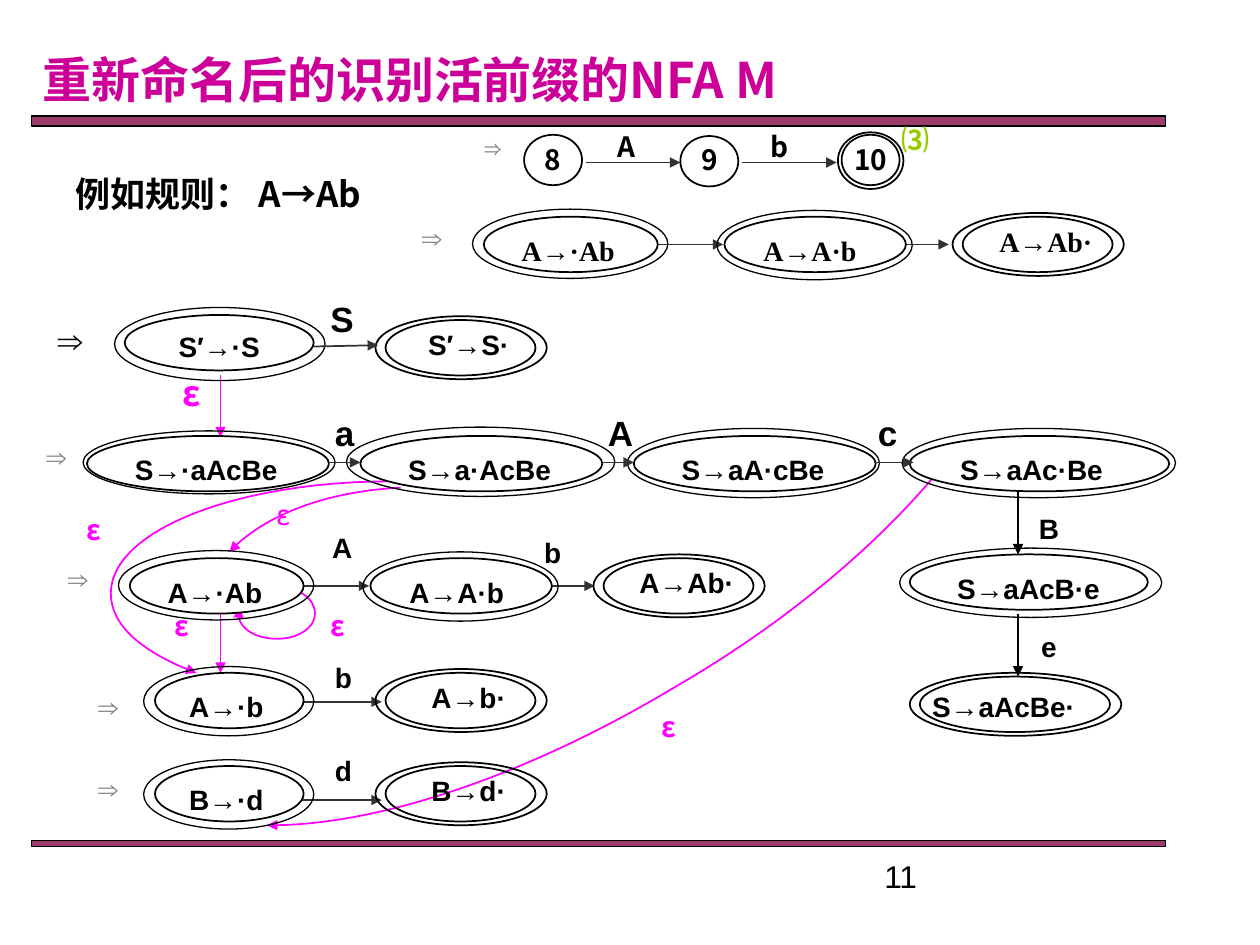
import pptx
import pptx.util
import pptx.dml.color
import pptx.enum.shapes
import pptx.enum.text
import pptx.oxml
import pptx.oxml.ns

CJK, SANS, SERIF = "Noto Sans CJK SC", "Arial", "Times New Roman"
BLACK, WHITE, GREY, DARK, PINK = "000000", "FFFFFF", "808080", "333333", "FF00FF"
SHAPE = pptx.enum.shapes.MSO_SHAPE
ALIGN = pptx.enum.text.PP_ALIGN


def unit(value):
    """Layout units are 2.54 cm, a tenth of the slide width."""
    return pptx.util.Cm(value * 2.54)


def colour(value):
    return pptx.dml.color.RGBColor.from_string(value)


def add_xml(parent, tag, **attributes):
    child = parent.makeelement(pptx.oxml.ns.qn(tag), attributes)
    parent.append(child)
    return child


def write(shape, text, font=SANS, align=ALIGN.CENTER, ink=BLACK, margin_top=0.05, **font_values):
    frame = shape.text_frame
    frame.word_wrap = True
    frame.vertical_anchor = pptx.enum.text.MSO_ANCHOR.TOP
    frame.margin_top = unit(margin_top)
    para = frame.paragraphs[0]
    para.alignment = align
    span = para.add_run()
    span.text = text
    values = {"size": 16, "bold": True, "name": font} | font_values
    values["size"] = pptx.util.Pt(values["size"])
    for name, value in values.items():
        setattr(span.font, name, value)
    span.font.color.rgb = colour(ink)
    add_xml(span.font._element, "a:ea", typeface=font)


def label(page, left, top, width, height, text, **style):
    box = page.shapes.add_textbox(*map(unit, (left, top, width, height)))
    write(box, text, **style)


def outline(page, kind, box, fill=None, width=1):
    shape = page.shapes.add_shape(kind, *map(unit, box))
    shape.shadow.inherit = False
    if fill:
        shape.fill.solid()
        shape.fill.fore_color.rgb = colour(fill)
    else:
        shape.fill.background()
    shape.line.color.rgb = colour(BLACK)
    shape.line.width = pptx.util.Pt(width)
    return shape


def point_forward(shape, ink):
    shape.line.color.rgb = colour(ink)
    shape.line.width = pptx.util.Pt(1)
    add_xml(shape.line._get_or_add_ln(), "a:tailEnd", type="triangle")


def arrow(page, x1, y1, x2, y2, ink=DARK):
    line = page.shapes.add_connector(
        pptx.enum.shapes.MSO_CONNECTOR.STRAIGHT, *map(unit, (x1, y1, x2, y2)))
    point_forward(line, ink)
    add_xml(line._element.spPr, "a:effectLst")


def curved_arrow(page, left, top, points, ink=PINK):
    """Draw a chain of cubic curves: a start, then three points for each curve."""
    track = [(unit(left + x), unit(top + y)) for x, y in points]
    builder = page.shapes.build_freeform(*track[0], scale=1.0)
    builder.add_line_segments(track[1:], close=False)
    shape = builder.convert_to_shape()
    segments = list(shape._element.iter(pptx.oxml.ns.qn("a:lnTo")))
    outline_path = segments[0].getparent()
    for first in range(0, len(segments), 3):
        curve = add_xml(outline_path, "a:cubicBezTo")
        for segment in segments[first:first + 3]:
            curve.append(segment[0])
            outline_path.remove(segment)
    shape.shadow.inherit = False
    shape.fill.background()
    point_forward(shape, ink)


def state(page, left, top, width, ring, text, font=SANS, align=ALIGN.JUSTIFY, margin_top=0.07):
    """A filled ellipse with its item, and a thin ring (dx, dy, width, height) around it."""
    ellipse = outline(page, SHAPE.OVAL, (left, top, width, 0.44), WHITE)
    write(ellipse, text, font=font, align=align, margin_top=margin_top)
    dx, dy, ring_width, ring_height = ring
    outline(page, SHAPE.OVAL, (left - dx, top - dy, ring_width, ring_height), width=0.75)


def final_state(page, left, top, text, width=1.36, **style):
    inner = (left + 0.08, top + 0.03, width - 0.17, 0.44)
    outline(page, SHAPE.OVAL, inner)
    outline(page, SHAPE.OVAL, (left, top, width, 0.5))
    label(page, left + 0.08, top + 0.04, width - 0.04, 0.44, text, **style)


def implies(page, left, top, **style):
    style = {"ink": GREY, "bold": False, "align": ALIGN.JUSTIFY} | style
    label(page, left, top, 0.65, 0.39, "⇒", **style)


def edge_label(page, left, top, text, **style):
    label(page, left, top, 0.49, 0.44, text, **style)


def frame_region(page, left, top):
    for y, height in ((0.92, 0.08), (6.67, 0.05)):
        bar = outline(page, SHAPE.RECTANGLE, (left, top + y, 9, height), "993366", 0.75)
        add_xml(bar.fill._xPr.solidFill[0], "a:alpha", val="96000")
    label(page, left - 0.01, top + 0.25, 7, 0.67, "重新命名后的识别活前缀的NFA M", font=CJK, size=28,
          ink="CC0099", align=ALIGN.LEFT, margin_top=0.14)
    label(page, left + 0.25, top + 1.25, 3, 0.5, "例如规则： A→Ab", font=CJK, size=20,
          align=ALIGN.LEFT, margin_top=0.12)
    label(page, left + 6.67, top + 6.75, 2.33, 0.27, "11", size=18, bold=False, align=ALIGN.LEFT)


def renamed_chain(page, left, top):
    implies(page, left, top + 0.13, font=CJK, size=10)
    for x, y, text in ((0.41, 0.15, "8"), (1.65, 0.16, "9"), (2.93, 0.15, "10")):
        outline(page, SHAPE.OVAL, (left + x, top + y, 0.46, 0.4), WHITE)
        label(page, left + x - 0.03, top + 0.16, 0.52, 0.39, text, font=CJK)
    outline(page, SHAPE.OVAL, (left + 2.9, top + 0.13, 0.52, 0.45))
    for x, text, text_x in ((0.9, "A", 1.02), (2.14, "b", 2.23)):
        arrow(page, left + x, top + 0.37, left + x + 0.75, top + 0.37)
        label(page, left + text_x, top + 0.06, 0.41, 0.39, text, font=CJK)
    label(page, left + 3.31, top, 0.52, 0.39, "⑶", font=CJK, ink="99CC00", align=ALIGN.JUSTIFY)


def recursive_row(page, left, top, font, final_left):
    implies(page, left, top + 0.21)
    for x in (1.6, 3.39):
        arrow(page, left + x, top + 0.45, left + x + 0.89, top + 0.45)
    state(page, left + 0.59, top + 0.23, 1.38, (0.09, 0.06, 1.55, 0.55), "A→·Ab", font)
    state(page, left + 2.5, top + 0.23, 1.44, (0.06, 0.05, 1.55, 0.55), "A→A·b", font)
    final_state(page, left + final_left, top + 0.2, "A→Ab·", font=font)


def start_row(page, left, top):
    implies(page, left, top + 0.17, size=20, bold=True, ink=BLACK)
    edge_label(page, left + 2.11, top, "S", size=20)
    state(page, left + 0.63, top + 0.19, 1.5, (0.08, 0.06, 1.67, 0.58), "S′→·S",
          align=ALIGN.CENTER, margin_top=0.05)
    final_state(page, left + 2.62, top + 0.2, "S′→S·")
    arrow(page, left + 2.13, top + 0.44, left + 2.64, top + 0.43)


def sentence_row(page, left, top):
    implies(page, left, top + 0.22)
    for x, width, ring, text in (
            (0.42, 1.92, (0.03, 0.04, 2, 0.5), "S→·aAcBe"),
            (2.59, 1.92, (0.11, 0.07, 2.13, 0.55), "S→a·AcBe"),
            (4.76, 1.92, (0.05, 0.06, 2, 0.55), "S→aA·cBe"),
            (6.95, 2.06, (0.06, 0.06, 2.17, 0.55), "S→aAc·Be")):
        state(page, left + x, top + 0.24, width, ring, text)
    for x, end, text, text_x in ((2.34, 2.59, "a", 2.22), (4.51, 4.76, "A", 4.41),
                                 (6.67, 6.98, "c", 6.53)):
        arrow(page, left + x, top + 0.45, left + end, top + 0.45)
        edge_label(page, left + text_x, top, text, size=20)


def sentence_column(page, left, top):
    state(page, left + 0.08, top + 0.5, 1.89, (0.08, 0.05, 2.08, 0.55), "S→aAcB·e")
    final_state(page, left + 0.08, top + 1.44, "S→aAcBe·", width=1.68,
                align=ALIGN.JUSTIFY, margin_top=0.09)
    for y, text, text_y in ((0, "B", 0.11), (0.97, "e", 1.05)):
        arrow(page, left + 0.94, top + y, left + 0.94, top + y + 0.5, BLACK)
        edge_label(page, left + 0.94, top + text_y, text)


def terminal_row(page, left, top, rule, letter, implies_top, arrow_top):
    implies(page, left, top + implies_top)
    arrow(page, left + 1.46, top + arrow_top, left + 2.35, top + arrow_top)
    edge_label(page, left + 1.8, top - 0.1, letter)
    state(page, left + 0.55, top + 0.05, 1.18, (0.09, 0.05, 1.35, 0.55), f"{rule}→·{letter}")
    final_state(page, left + 2.3, top + 0.02, f"{rule}→{letter}·")


def epsilon_moves(page, left, top):
    for points in (
            [(6.89, 0.8), (6.4, 1.41), (5.65, 2.04), (4.79, 2.54),
             (3.61, 3.25), (2.38, 3.66), (1.53, 3.65)],
            [(2.52, 0.92), (1.29, 0.92), (0.29, 1.31), (0.29, 1.81),
             (0.29, 2.05), (0.54, 2.28), (0.97, 2.44)],
            [(2.59, 0.97), (2.01, 1), (1.49, 1.2), (1.23, 1.48)],
            [(1.4, 1.81), (1.46, 1.78), (1.53, 1.76), (1.61, 1.76), (1.78, 1.76), (1.91, 1.85),
             (1.91, 1.97), (1.91, 2.08), (1.78, 2.17), (1.61, 2.17), (1.44, 2.17), (1.3, 2.08),
             (1.3, 1.97), (1.3, 1.95), (1.3, 1.93), (1.31, 1.92)]):
        curved_arrow(page, left, top, points)
    for y in (0.08, 1.95):
        arrow(page, left + 1.16, top + y, left + 1.16, top + y + 0.49, PINK)
    for x, y, style in ((4.56, 2.68, {}), (0.76, 0, {"size": 20}), (0, 1.12, {}),
                        (1.51, 1, {"bold": False}), (1.69, 1.88, {"align": ALIGN.RIGHT}),
                        (0.7, 1.88, {})):
        style = {"font": CJK, "ink": PINK, "align": ALIGN.JUSTIFY} | style
        label(page, left + x, top + y, 0.56, 0.44, "ε", **style)


def main():
    deck = pptx.Presentation()
    deck.slide_width, deck.slide_height = unit(10), unit(7.5)
    page = deck.slides.add_slide(deck.slide_layouts[6])
    frame_region(page, 0.25, 0)
    epsilon_moves(page, 0.59, 2.9)
    start_row(page, 0.36, 2.31)
    sentence_row(page, 0.27, 3.22)
    sentence_column(page, 7.14, 3.9)
    recursive_row(page, 0.44, 4.2, SANS, 4.27)
    edge_label(page, 2.47, 4.16, "A")
    edge_label(page, 4.14, 4.2, "b")
    terminal_row(page, 0.68, 5.29, "A", "b", 0.13, 0.28)
    terminal_row(page, 0.68, 6.03, "B", "d", 0.04, 0.32)
    renamed_chain(page, 3.75, 0.92)
    recursive_row(page, 3.25, 1.49, SERIF, 4.31)
    deck.save("out.pptx")


if __name__ == "__main__":
    main()
